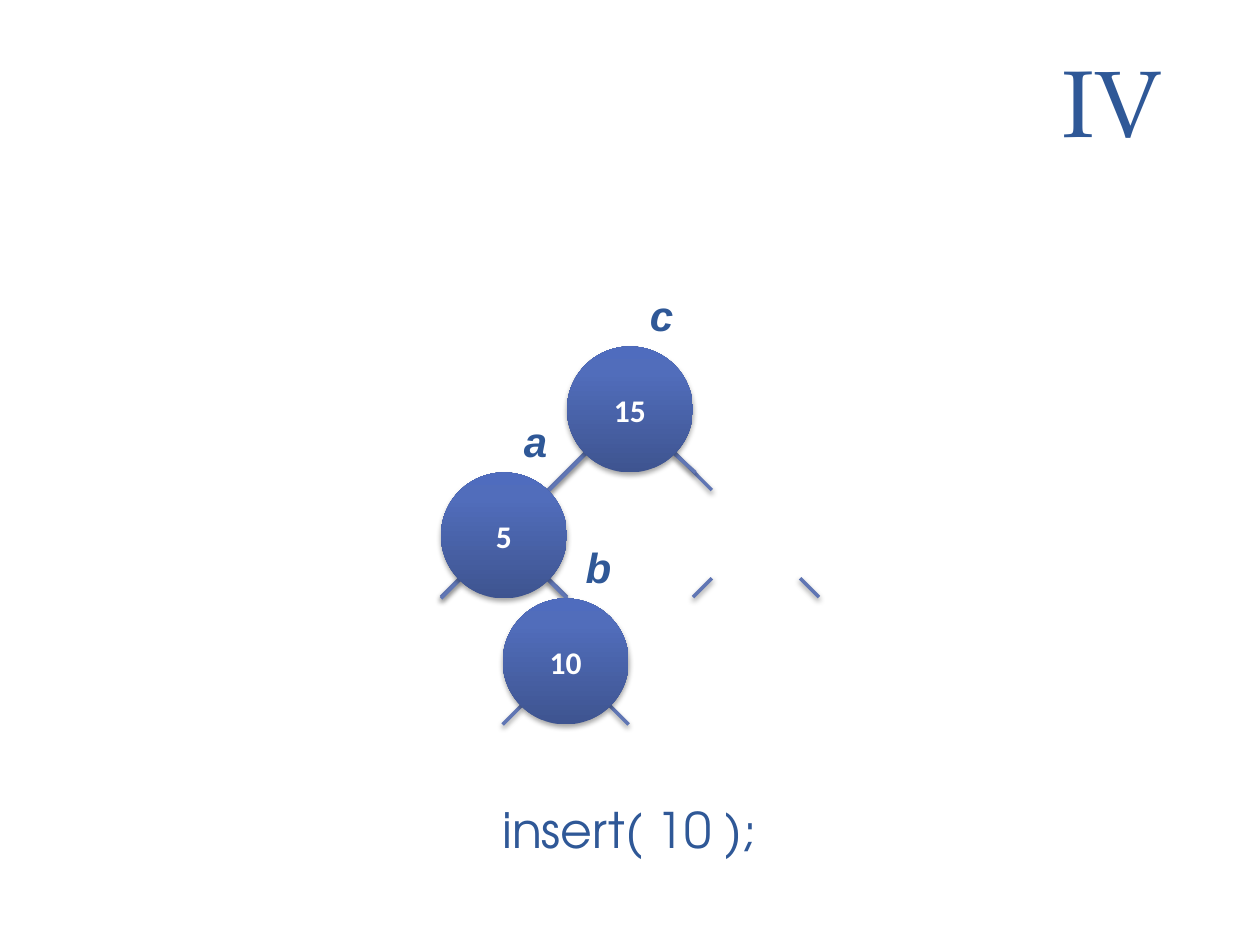
from lxml import etree
from pptx import Presentation
from pptx.dml.color import RGBColor
from pptx.enum import shapes, text
from pptx.oxml import parse_xml
from pptx.oxml.ns import qn
from pptx.util import Inches, Pt

COLORS = {"ink": "2F5897", "edge": "6076B4", "white": "FFFFFF", "shadow": "000000",
          "node_low": "3E5490", "node_mid": "516DBB", "node_top": "4F6CBE"}
NODE_STOPS = [(0, "node_low"), (80, "node_mid"), (100, "node_top")]
NS = 'xmlns:a="http://schemas.openxmlformats.org/drawingml/2006/main"'


def rgb(name):
    return RGBColor.from_string(COLORS[name])


def add_shadow(sp, distance, alpha):
    sp._element.spPr.append(parse_xml(
        f'<a:effectLst {NS}><a:outerShdw blurRad="{Pt(3.1)}" dist="{Pt(distance)}" '
        f'dir="5400000" rotWithShape="0"><a:srgbClr val="{COLORS["shadow"]}">'
        f'<a:alpha val="{alpha * 1000}"/></a:srgbClr></a:outerShdw></a:effectLst>'))


def write(sp, words, font, size, color, align=text.PP_ALIGN.CENTER, bold=False, italic=False):
    tf = sp.text_frame
    tf.word_wrap = True
    tf.vertical_anchor = text.MSO_ANCHOR.MIDDLE
    tf.text = words
    p = tf.paragraphs[0]
    p.alignment = align
    f = p.runs[0].font
    f.name, f.size, f.bold, f.italic = font, Pt(size), bold, italic
    f.color.rgb = rgb(color)


def add_title(slide, words, left, top, width, height):
    sp = slide.shapes.title
    sp.left, sp.top, sp.width, sp.height = map(Inches, (left, top, width, height))
    write(sp, words, "TeX Gyre Pagella", 54, "ink", text.PP_ALIGN.RIGHT)


def add_branches(slide, x, y, start, left, right):
    """Two child edges below a node centre; left and right are (run, drop)."""
    for side, (run, drop) in ((-1, left), (1, right)):
        x1, y1 = x + side * 0.35, y + start
        line = slide.shapes.add_connector(
            shapes.MSO_CONNECTOR.STRAIGHT, Inches(x1), Inches(y1),
            Inches(x1 + side * run), Inches(y1 + drop))
        line.line.color.rgb = rgb("edge")
        line.line.width = Pt(2)
        add_shadow(line, 1.6, 38)


def add_node(slide, value, x, y, size=1):
    sp = slide.shapes.add_shape(shapes.MSO_SHAPE.OVAL, Inches(x - size / 2),
                                Inches(y - size / 2), Inches(size), Inches(size))
    sp.fill.gradient()
    sp.fill.gradient_angle = 90
    stops = sp._element.spPr.find(".//" + qn("a:gsLst"))
    for stop in list(stops):
        stops.remove(stop)
    for position, name in NODE_STOPS:
        stop = etree.SubElement(stops, qn("a:gs"), pos=str(position * 1000))
        etree.SubElement(stop, qn("a:srgbClr"), val=COLORS[name])
    sp.line.fill.background()
    add_shadow(sp, 1.8, 35)
    write(sp, value, "Calibri", 18, "white", bold=True)


def add_label(slide, letter, left, top, size=0.5):
    sp = slide.shapes.add_textbox(*map(Inches, (left, top, size, size)))
    write(sp, letter, "Arial", 24, "ink", bold=True, italic=True)


def add_tree(slide, x, y):
    """Tree whose root is centred at x, y; levels are one inch apart."""
    short, long = (0.15, 0.15), (0.3, 0.3)
    nodes = [("15", x, y), ("5", x - 1, y + 1), ("10", x - 0.51, y + 2)]
    # Full skeleton, with the edges of the empty right child
    add_branches(slide, x, y, 0.34, long, long)
    for child_x in (x - 1, x + 1):
        add_branches(slide, child_x, y + 1, 0.34, short, short)
    # Edges of the nodes in use
    reaches = [(long, (0.17, 0.15)), (short, short), (short, short)]
    for (value, node_x, node_y), (left, right) in zip(nodes, reaches):
        add_branches(slide, node_x, node_y, 0.35, left, right)
    for node in nodes:
        add_node(slide, *node)
    # Letters at the upper right of each node
    for letter, dx, dy in (("a", -1, 0), ("b", -0.5, 1), ("c", 0, -1)):
        add_label(slide, letter, x + dx, y + dy)


def add_call(slide, words, left, top, width, height):
    sp = slide.shapes.add_shape(shapes.MSO_SHAPE.RECTANGLE,
                                *map(Inches, (left, top, width, height)))
    sp.shadow.inherit = False
    sp.fill.solid()
    sp.fill.fore_color.rgb = rgb("white")
    sp.line.color.rgb = rgb("white")
    sp.line.width = Pt(2)
    write(sp, words, "TeX Gyre Adventor", 28, "ink")


prs = Presentation()
prs.slide_width, prs.slide_height = Inches(10), Inches(7.5)
slide = prs.slides.add_slide(prs.slide_layouts[5])
add_title(slide, "IV", 0, -0.08, 9.33, 1.75)
add_tree(slide, 5, 3.25)
add_call(slide, "insert( 10 );", 2.12, 6.33, 5.75, 0.5)
prs.save("out.pptx")
